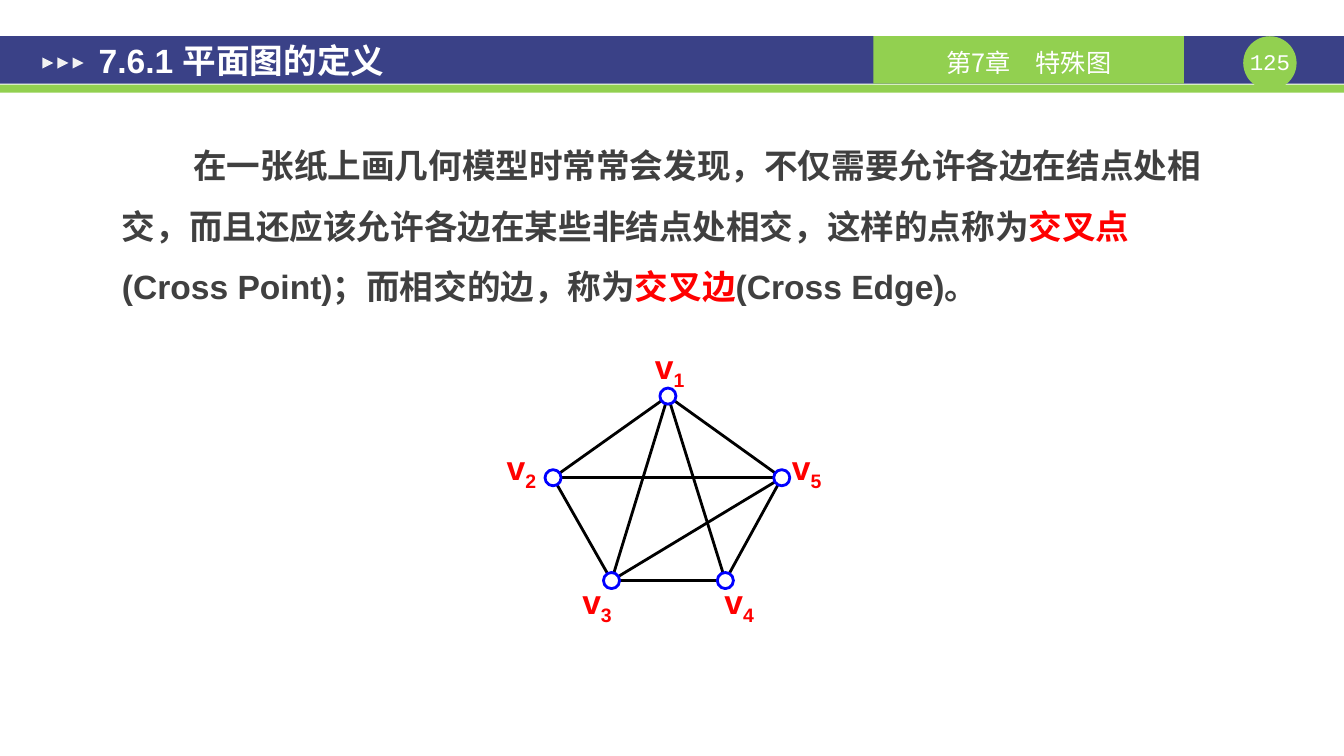
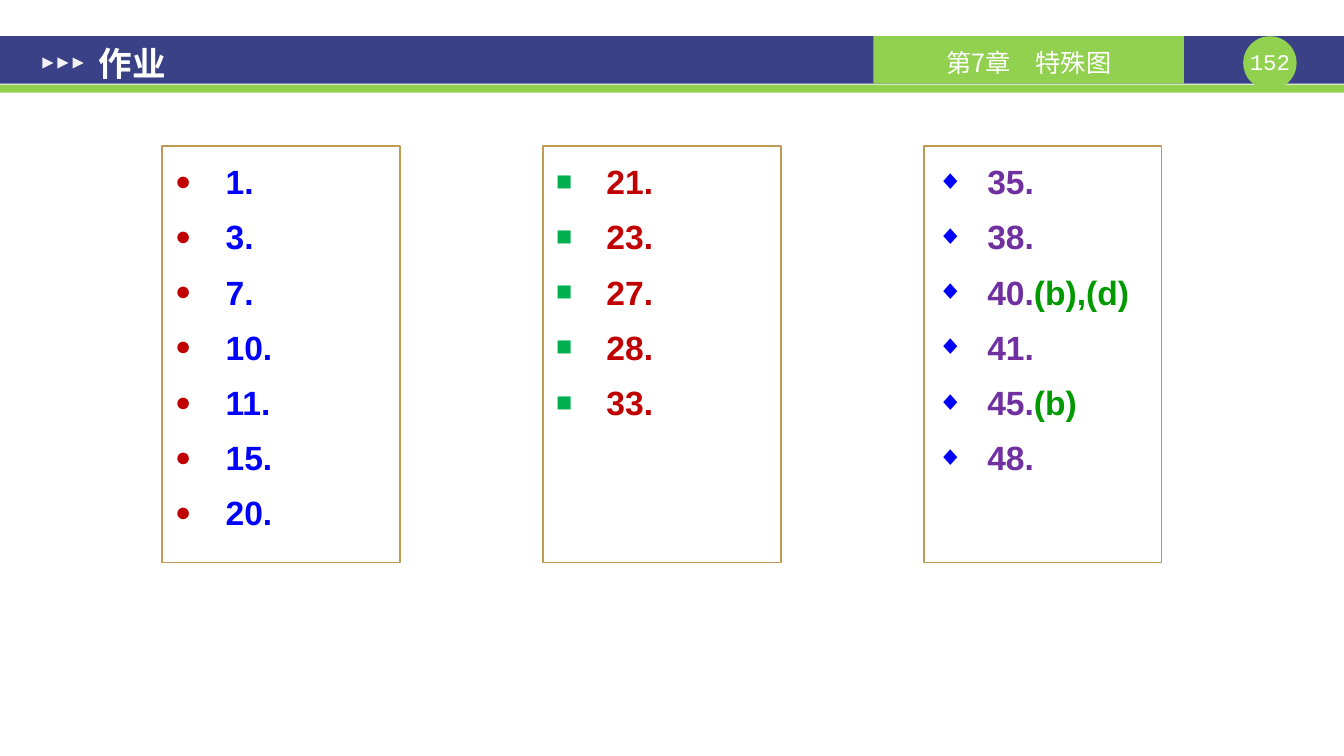
from lxml import etree
from pptx import Presentation
from pptx.dml.color import RGBColor
from pptx.enum import shapes, text as txt
from pptx.oxml.ns import qn
from pptx.util import Inches, Pt

NAVY = RGBColor(0x3A, 0x41, 0x87)
LIME = RGBColor(0x92, 0xD0, 0x50)
WHITE = RGBColor(0xFF, 0xFF, 0xFF)
PALE = RGBColor(0xF2, 0xF2, 0xF2)
GREY = RGBColor(0x40, 0x40, 0x40)
BLACK = RGBColor(0, 0, 0)
RED = RGBColor(0xFF, 0, 0)
BLUE = RGBColor(0, 0, 0xFF)
DARK_RED = RGBColor(0xC0, 0, 0)
GREEN = RGBColor(0, 0xB0, 0x50)
DARK_GREEN = RGBColor(0, 0x99, 0)
PURPLE = RGBColor(0x70, 0x30, 0xA0)
GOLD = RGBColor(0xBD, 0x9B, 0x53)

SHAPE = shapes.MSO_SHAPE
ALIGN = txt.PP_ALIGN
MIDDLE = txt.MSO_ANCHOR.MIDDLE
CJK_FONT = "Noto Sans CJK SC"
PADDING = (0.13, 0.07, 0.13, 0.07)
SLIDE_WIDTH = 13.34


def add_box(slide, kind, left, top, width, height, fill=None, line=None, weight=1):
    """Add a preset shape; without fill or line colour that part stays empty."""
    box = slide.shapes.add_shape(kind, Inches(left), Inches(top), Inches(width), Inches(height))
    box.shadow.inherit = False
    for part, color in ((box.fill, fill), (box.line.fill, line)):
        if color is None:
            part.background()
        else:
            part.solid()
            part.fore_color.rgb = color
    if line is not None:
        box.line.width = Pt(weight)
    return box


def write(box, paragraphs, size=24, bold=True, font="Arial", align=ALIGN.LEFT,
          anchor=txt.MSO_ANCHOR.TOP, padding=PADDING, spacing=None, before=0,
          margin=0, indent=0, bullet=None, bullet_color=None):
    """Fill a box with paragraphs, each a list of (text, colour) runs."""
    frame = box.text_frame
    frame.word_wrap = True
    frame.vertical_anchor = anchor
    (frame.margin_left, frame.margin_top,
     frame.margin_right, frame.margin_bottom) = map(Inches, padding)
    for index, runs in enumerate(paragraphs):
        paragraph = frame.add_paragraph() if index else frame.paragraphs[0]
        paragraph.alignment = align
        if spacing:
            paragraph.line_spacing = spacing
        if index and before:
            paragraph.space_before = Pt(before)
        props = paragraph._p.get_or_add_pPr()
        props.set("marL", str(Inches(margin)))
        props.set("indent", str(Inches(indent)))
        if bullet:
            color = etree.SubElement(props, qn("a:buClr"))
            etree.SubElement(color, qn("a:srgbClr"), val=str(bullet_color))
            etree.SubElement(props, qn("a:buSzPct"), val="80000")
            etree.SubElement(props, qn("a:buFont"), typeface="Arial")
            etree.SubElement(props, qn("a:buChar"), char=bullet)
        for words, color in runs:
            run = paragraph.add_run()
            run.text = words
            run.font.size = Pt(size)
            run.font.bold = bold
            run.font.name = font
            run.font.color.rgb = color
            east_asian = etree.SubElement(run._r.get_or_add_rPr(), qn("a:ea"))
            east_asian.set("typeface", CJK_FONT)


deck = Presentation()
deck.slide_width, deck.slide_height = Inches(SLIDE_WIDTH), Inches(7.5)

# Header shared by both slides
for heading, heading_top, number in (("7.6.1 平面图的定义", 0.36, "125"), ("作业", 0.39, "152")):
    slide = deck.slides.add_slide(deck.slide_layouts[6])
    add_box(slide, SHAPE.RECTANGLE, 0, 0.36, SLIDE_WIDTH, 0.47, NAVY)
    add_box(slide, SHAPE.OVAL, 12.34, 0.36, 0.53, 0.53, LIME)
    add_box(slide, SHAPE.RECTANGLE, 0, 0.84, SLIDE_WIDTH, 0.08, LIME)
    page = slide.shapes.add_textbox(Inches(12.34), Inches(0.48), Inches(0.53), Inches(0.27))
    write(page, [[(number, WHITE)]], size=16, bold=False, font="Courier New",
          align=ALIGN.CENTER, padding=(0, 0, 0, 0))
    chapter = add_box(slide, SHAPE.RECTANGLE, 8.67, 0.36, 3.08, 0.47, LIME)
    write(chapter, [[("第7章　特殊图", WHITE)]], size=18, bold=False, font=CJK_FONT,
          align=ALIGN.CENTER, anchor=MIDDLE, padding=(0.1, 0.04, 0.1, 0))
    for step in range(3):
        marker = add_box(slide, SHAPE.ISOSCELES_TRIANGLE, 0.42 + 0.15 * step, 0.57, 0.11, 0.11, PALE)
        marker.rotation = 90
    title = slide.shapes.add_textbox(Inches(0.85), Inches(heading_top), Inches(5.83), Inches(0.47))
    write(title, [[(heading, WHITE)]], anchor=MIDDLE)

graph_slide, homework_slide = deck.slides

# Definition of crossing points and edges
definition = graph_slide.shapes.add_textbox(Inches(1.08), Inches(1.17), Inches(11.01), Inches(3.08))
write(definition, [[
    ("在一张纸上画几何模型时常常会发现，不仅需要允许各边在结点处相交，"
     "而且还应该允许各边在某些非结点处相交，这样的点称为", GREY),
    ("交叉点", RED),
    ("(Cross Point)；而相交的边，称为", GREY),
    ("交叉边", RED),
    ("(Cross Edge)。", GREY),
]], spacing=1.5, indent=0.71)

# Graph: vertex centres and the top left corners of their labels
vertices = {
    1: ((6.63, 3.93), (6.5, 3.43)),
    2: ((5.49, 4.74), (5.03, 4.43)),
    3: ((6.07, 5.76), (5.78, 5.76)),
    4: ((7.2, 5.76), (7.19, 5.76)),
    5: ((7.76, 4.74), (7.86, 4.43)),
}
edges = [(2, 5), (1, 3), (1, 4), (5, 3), (1, 2), (5, 4), (3, 4), (1, 5), (2, 3)]
for start, end in edges:
    points = [Inches(value) for vertex in (start, end) for value in vertices[vertex][0]]
    edge = graph_slide.shapes.add_connector(shapes.MSO_CONNECTOR.STRAIGHT, *points)
    edge.line.color.rgb = BLACK
    edge.line.width = Pt(2)
    etree.SubElement(edge._element.spPr, qn("a:effectLst"))

NODE = 0.16
for vertex, ((x, y), (label_left, label_top)) in vertices.items():
    add_box(graph_slide, SHAPE.OVAL, x - NODE / 2, y - NODE / 2, NODE, NODE, WHITE, BLUE, 2)
    label = graph_slide.shapes.add_textbox(Inches(label_left), Inches(label_top), Inches(0.47), Inches(0.4))
    write(label, [[("v", RED), (str(vertex), RED)]], padding=(0, 0, 0, 0))
    subscript = label.text_frame.paragraphs[0].runs[1]
    subscript._r.get_or_add_rPr().set("baseline", "-25000")

# Homework: three columns of exercise numbers, some with selected parts
columns = [
    ("●", DARK_RED, BLUE, ["1.", "3.", "7.", "10.", "11.", "15.", "20."]),
    ("■", GREEN, DARK_RED, ["21.", "23.", "27.", "28.", "33."]),
    ("◆", BLUE, PURPLE, ["35.", "38.", "40.", "41.", "45.", "48."]),
]
selected_parts = {"40.": "(b),(d)", "45.": "(b)"}
for column, (bullet, bullet_color, color, exercises) in enumerate(columns):
    exercise_list = add_box(homework_slide, SHAPE.RECTANGLE, 1.61 + 3.78 * column, 1.45, 2.36, 4.13,
                            line=GOLD, weight=1.25)
    lines = []
    for exercise in exercises:
        runs = [(exercise, color)]
        if exercise in selected_parts:
            runs.append((selected_parts[exercise], DARK_GREEN))
        lines.append(runs)
    write(exercise_list, lines, spacing=1.2, before=4.8, margin=0.5, indent=-0.5,
          bullet=bullet, bullet_color=bullet_color)

deck.save("out.pptx")
